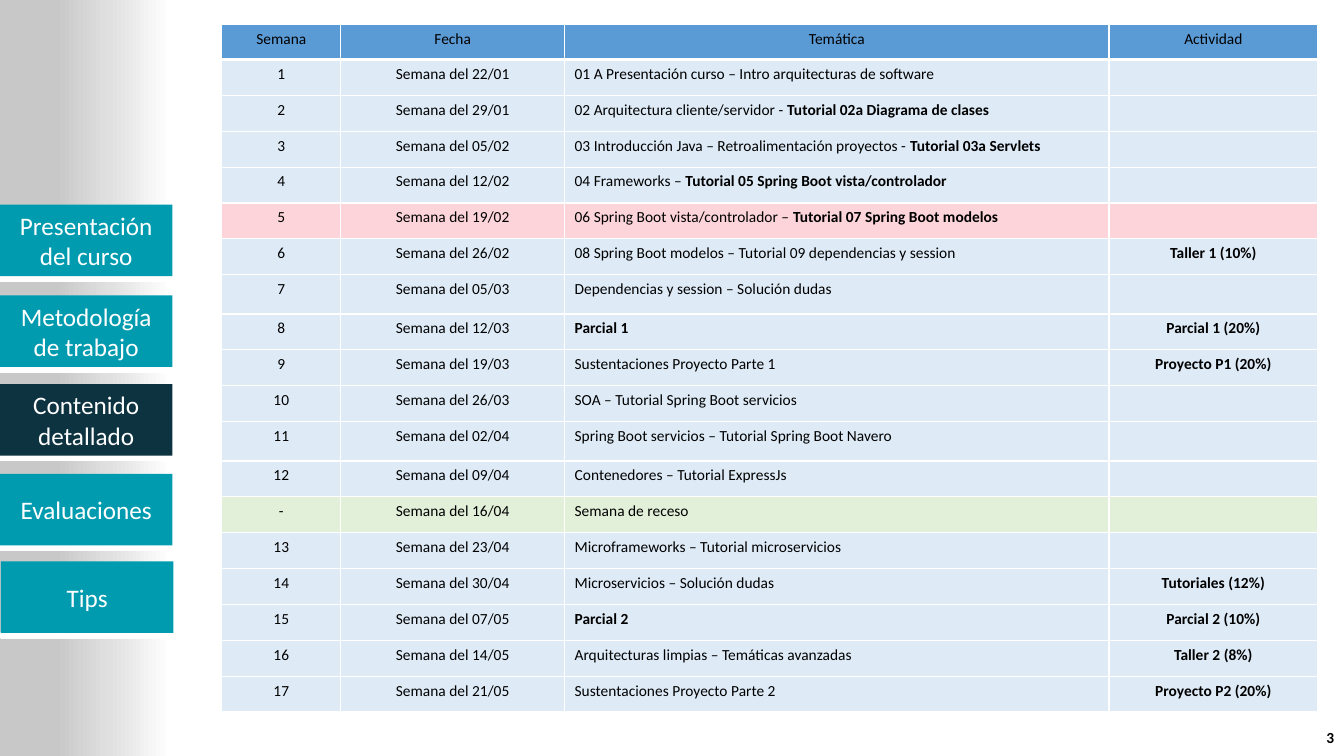
"""Build the course schedule slide with its navigation sidebar."""
from lxml import etree
from pptx import Presentation
from pptx.dml.color import RGBColor
from pptx.enum import shapes, text
from pptx.oxml import ns
from pptx.util import Inches, Pt

WHITE = RGBColor(0xFF, 0xFF, 0xFF)
BLACK = RGBColor(0x00, 0x00, 0x00)
SILVER = RGBColor(0xE0, 0xE0, 0xE0)
GREY = RGBColor(0xC8, 0xC8, 0xC8)
TEAL = RGBColor(0x00, 0x9B, 0xAF)
NAVY = RGBColor(0x0D, 0x32, 0x40)
HEADER_BLUE = RGBColor(0x5B, 0x9B, 0xD5)
PALE_BLUE = RGBColor(0xDE, 0xEB, 0xF7)
PINK = RGBColor(0xFC, 0xD4, 0xD9)
GREEN = RGBColor(0xE2, 0xF0, 0xD9)

CENTER, LEFT, RIGHT = text.PP_ALIGN.CENTER, text.PP_ALIGN.LEFT, text.PP_ALIGN.RIGHT
MENU_FONT = {"name": "Calibri", "size": Pt(18), "bold": False}
TABLE_FONT = {"name": "Calibri", "size": Pt(11), "bold": False}
BOLD_FONT = {**TABLE_FONT, "bold": True}

SIDEBAR_WIDTH, BUTTON_HEIGHT = 1.71, 0.71
SIDEBAR_STOPS = [(0, WHITE), (36, SILVER), (67, GREY)]
MENU = [
    ("Presentación del curso", 0, 2.03, TEAL),
    ("Metodología de trabajo", 0, 2.93, TEAL),
    ("Contenido detallado", 0, 3.81, NAVY),
    ("Evaluaciones", 0, 4.7, TEAL),
    ("Tips", 0.01, 5.57, TEAL),
]

HEADINGS = ["Semana", "Fecha", "Temática", "Actividad"]
COLUMN_WIDTHS = [1.18, 2.22, 5.4, 2.07]
TABLE_HEIGHT, HEADER_HEIGHT, TALL_HEIGHT = 6.83, 0.35, 0.39
TALL_WEEKS = ("7", "11")
WEEK_FILLS = {"5": PINK, "-": GREEN}
SCHEDULE = [
    ("1", "22/01", "01 A Presentación curso – Intro arquitecturas de software", "", ""),
    ("2", "29/01", "02 Arquitectura cliente/servidor - ",
     "Tutorial 02a Diagrama de clases", ""),
    ("3", "05/02", "03 Introducción Java – Retroalimentación proyectos - ",
     "Tutorial 03a Servlets", ""),
    ("4", "12/02", "04 Frameworks – ", "Tutorial 05 Spring Boot vista/controlador", ""),
    ("5", "19/02", "06 Spring Boot vista/controlador – ",
     "Tutorial 07 Spring Boot modelos", ""),
    ("6", "26/02", "08 Spring Boot modelos – Tutorial 09 dependencias y session", "",
     "Taller 1 (10%)"),
    ("7", "05/03", "Dependencias y session – Solución dudas", "", ""),
    ("8", "12/03", "", "Parcial 1", "Parcial 1 (20%)"),
    ("9", "19/03", "Sustentaciones Proyecto Parte 1", "", "Proyecto P1 (20%)"),
    ("10", "26/03", "SOA – Tutorial Spring Boot servicios", "", ""),
    ("11", "02/04", "Spring Boot servicios – Tutorial Spring Boot Navero", "", ""),
    ("12", "09/04", "Contenedores – Tutorial ExpressJs", "", ""),
    ("-", "16/04", "Semana de receso", "", ""),
    ("13", "23/04", "Microframeworks – Tutorial microservicios", "", ""),
    ("14", "30/04", "Microservicios – Solución dudas", "", "Tutoriales (12%)"),
    ("15", "07/05", "", "Parcial 2", "Parcial 2 (10%)"),
    ("16", "14/05", "Arquitecturas limpias – Temáticas avanzadas", "", "Taller 2 (8%)"),
    ("17", "21/05", "Sustentaciones Proyecto Parte 2", "", "Proyecto P2 (20%)"),
]


def write_run(paragraph, wording, font_format, color):
    """Add a formatted run to a paragraph."""
    run = paragraph.add_run()
    run.text = wording
    for attribute, value in font_format.items():
        setattr(run.font, attribute, value)
    run.font.color.rgb = color


def add_block(slide, left, top, width, height):
    """Add a rectangle without shadow or outline."""
    block = slide.shapes.add_shape(
        shapes.MSO_SHAPE.RECTANGLE,
        Inches(left), Inches(top), Inches(width), Inches(height))
    block.shadow.inherit = False
    block.line.fill.background()
    return block


def add_sidebar(slide):
    """Add the grey sidebar that fades to white on its right."""
    sidebar = add_block(slide, -0.01, 0, SIDEBAR_WIDTH, 7.5)
    sidebar.fill.gradient()
    sidebar.fill.gradient_angle = 180
    stops = sidebar.fill._fill._gradFill.find(ns.qn("a:gsLst"))
    for stop in list(stops):
        stops.remove(stop)
    for percent, color in SIDEBAR_STOPS:
        stop = etree.SubElement(stops, ns.qn("a:gs"), pos=str(percent * 1000))
        etree.SubElement(stop, ns.qn("a:srgbClr"), val=str(color))


def add_menu_button(slide, label, left, top, color):
    """Add a menu button with the white strip below it."""
    strip = add_block(slide, left, top + BUTTON_HEIGHT, SIDEBAR_WIDTH, 0.05)
    strip.fill.solid()
    strip.fill.fore_color.rgb = strip.line.color.rgb = WHITE
    strip.line.width = Pt(1.25)
    button = add_block(slide, left, top, SIDEBAR_WIDTH, BUTTON_HEIGHT)
    button.fill.solid()
    button.fill.fore_color.rgb = color
    button.text_frame.word_wrap = True
    button.text_frame.vertical_anchor = text.MSO_ANCHOR.MIDDLE
    label_line = button.text_frame.paragraphs[0]
    label_line.alignment = CENTER
    write_run(label_line, label, MENU_FONT, WHITE)


def add_page_number(slide, number):
    """Add the page number at the bottom right."""
    page = slide.shapes.add_textbox(
        Inches(12.81), Inches(7.15), Inches(0.52), Inches(0.34)).text_frame
    page.word_wrap = True
    page.vertical_anchor = text.MSO_ANCHOR.MIDDLE
    page.paragraphs[0].alignment = RIGHT
    write_run(page.paragraphs[0], number, BOLD_FONT, BLACK)


def fill_cell(cell, runs, alignment, color, bottom_width=1):
    """Give a cell its white borders, fill and text runs."""
    properties = cell._tc.get_or_add_tcPr()
    for side, width in zip("LRTB", (1, 1, 1, bottom_width)):
        border = etree.SubElement(properties, ns.qn(f"a:ln{side}"), w=str(Pt(width)))
        paint = etree.SubElement(border, ns.qn("a:solidFill"))
        etree.SubElement(paint, ns.qn("a:srgbClr"), val=str(WHITE))
    cell.fill.solid()
    cell.fill.fore_color.rgb = color
    paragraph = cell.text_frame.paragraphs[0]
    paragraph.alignment = alignment
    for wording, font_format in runs:
        if wording:
            write_run(paragraph, wording, font_format, BLACK)
    paragraph._p.get_or_add_endParaRPr().set("sz", "1100")


def add_schedule(slide):
    """Add the weekly schedule table."""
    schedule = slide.shapes.add_table(
        len(SCHEDULE) + 1, len(HEADINGS), Inches(2.2), Inches(0.24),
        Inches(sum(COLUMN_WIDTHS)), Inches(TABLE_HEIGHT)).table
    for column, width in zip(schedule.columns, COLUMN_WIDTHS):
        column.width = Inches(width)
    schedule.rows[0].height = Inches(HEADER_HEIGHT)
    for cell, heading in zip(schedule.rows[0].cells, HEADINGS):
        fill_cell(cell, [(heading, TABLE_FONT)], CENTER, HEADER_BLUE, 3)

    tall_total = TALL_HEIGHT * len(TALL_WEEKS)
    plain_height = ((TABLE_HEIGHT - HEADER_HEIGHT - tall_total)
                    / (len(SCHEDULE) - len(TALL_WEEKS)))
    for number, (week, date, topic, tutorial, activity) in enumerate(SCHEDULE, 1):
        row = schedule.rows[number]
        row.height = Inches(TALL_HEIGHT if week in TALL_WEEKS else plain_height)
        contents = [
            ([(week, TABLE_FONT)], CENTER),
            ([(f"Semana del {date}", TABLE_FONT)], CENTER),
            ([(topic, TABLE_FONT), (tutorial, BOLD_FONT)], LEFT),
            ([(activity, BOLD_FONT)], CENTER),
        ]
        for cell, (runs, alignment) in zip(row.cells, contents):
            fill_cell(cell, runs, alignment, WEEK_FILLS.get(week, PALE_BLUE))


def main():
    """Build and save the slide."""
    deck = Presentation()
    deck.slide_width, deck.slide_height = Inches(13.33), Inches(7.5)
    slide = deck.slides.add_slide(deck.slide_layouts[6])
    add_sidebar(slide)
    for label, left, top, color in MENU:
        add_menu_button(slide, label, left, top, color)
    add_page_number(slide, "3")
    add_schedule(slide)
    deck.save("out.pptx")


if __name__ == "__main__":
    main()
